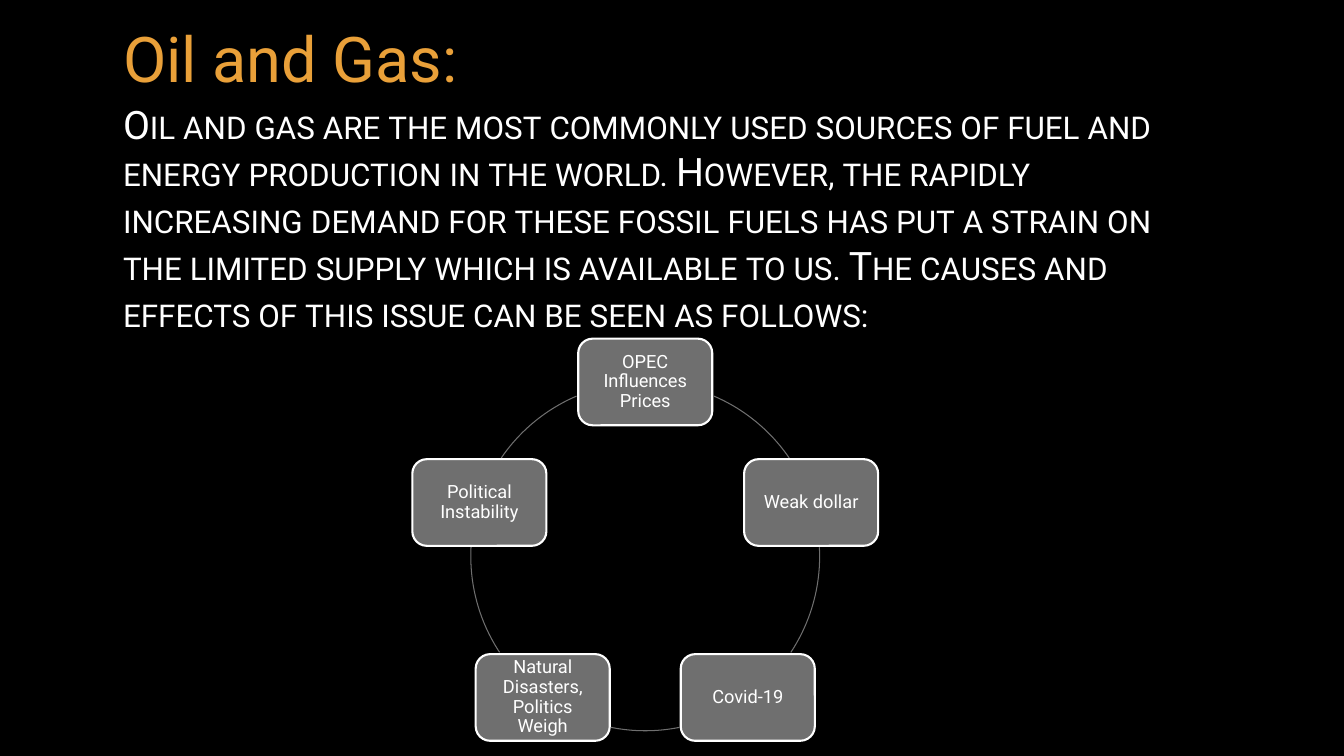
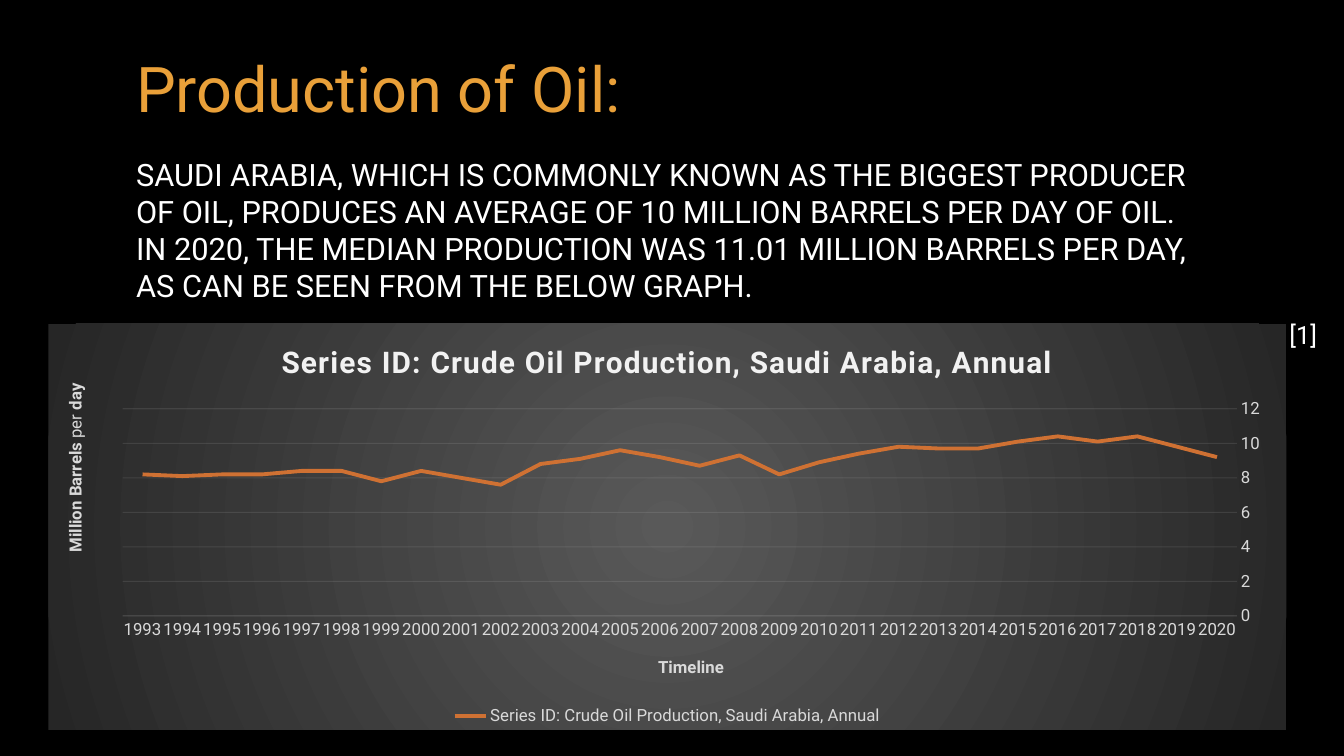
from lxml import etree
from pptx import Presentation
from pptx.chart.data import CategoryChartData
from pptx.dml.color import RGBColor
from pptx.enum.chart import XL_CHART_TYPE, XL_LEGEND_POSITION, XL_MARKER_STYLE, XL_TICK_MARK
from pptx.enum.shapes import MSO_SHAPE
from pptx.enum.text import MSO_ANCHOR, MSO_AUTO_SIZE, PP_ALIGN
from pptx.oxml import parse_xml
from pptx.oxml.ns import nsdecls, qn
from pptx.util import Pt
from math import cos, radians, sin

PX = 9144
FONT = "Roboto"
BLACK = RGBColor(0x00, 0x00, 0x00)
WHITE = RGBColor(0xFF, 0xFF, 0xFF)
AMBER = RGBColor(0xE9, 0xA0, 0x39)
GRAY = RGBColor(0x6F, 0x6F, 0x6F)
PALE = RGBColor(0xF2, 0xF2, 0xF2)
SILVER = RGBColor(0xD9, 0xD9, 0xD9)
ORANGE = RGBColor(0xCF, 0x71, 0x33)
LEFT, CENTER = PP_ALIGN.LEFT, PP_ALIGN.CENTER
MIDDLE = MSO_ANCHOR.MIDDLE
NO_AUTOFIT = MSO_AUTO_SIZE.NONE
ROUNDED, ARC = MSO_SHAPE.ROUNDED_RECTANGLE, MSO_SHAPE.ARC
LINE_CHART = XL_CHART_TYPE.LINE
LEGEND_BOTTOM = XL_LEGEND_POSITION.BOTTOM
NO_MARKER = XL_MARKER_STYLE.NONE
NO_TICK = XL_TICK_MARK.NONE

CAUSES = {
    "heading": "Oil and Gas:",
    "heading_box": (112, -47, 1083, 208),
    "body": "Oil and gas are the most commonly used sources of fuel and energy "
            "production in the world. However, the rapidly increasing demand for these "
            "fossil fuels has put a strain on the limited supply which is available to "
            "us. The causes and effects of this issue can be seen as follows:",
    "body_box": (112, 57, 1083, 318),
    "body_size": 28,
}
CYCLE = ["OPEC Influences Prices", "Weak dollar", "Covid-19",
         "Natural Disasters, Politics Weigh", "Political Instability"]
CYCLE_ARCS = [(293.2, 325.6), (357, 33.4), (78.6, 101.4), (146.6, 183), (214.4, 246.8)]
CYCLE_CENTER, CYCLE_RADIUS = (640, 552), 173
NODE_W, NODE_H = 133, 86

PRODUCTION = {
    "heading": "Production of Oil:",
    "heading_box": (125, 37, 878, 100),
    "body": "SAUDI ARABIA, WHICH IS COMMONLY KNOWN AS THE BIGGEST PRODUCER OF OIL, "
            "PRODUCES AN AVERAGE OF 10 MILLION BARRELS PER DAY OF OIL. IN 2020, THE "
            "MEDIAN PRODUCTION WAS 11.01 MILLION BARRELS PER DAY, AS CAN BE SEEN FROM "
            "THE BELOW GRAPH.",
    "body_box": (125, 124, 1083, 208),
    "body_size": 22,
}
CITATION, CITATION_BOX = "[1]", (1269, 312, 52, 40)
CHART_BOX = (48, 321, 1228, 403)
CHART_TITLE = "Series ID: Crude Oil Production, Saudi Arabia, Annual"
YEARS = [str(year) for year in range(2020, 1992, -1)]
BARRELS = [9.2, 9.8, 10.4, 10.1, 10.4, 10.1, 9.7, 9.7, 9.8, 9.4, 8.9, 8.2, 9.3, 8.7,
           9.2, 9.6, 9.1, 8.8, 7.6, 8, 8.4, 7.8, 8.4, 8.4, 8.2, 8.2, 8.1, 8.2]
TIMELINE_TITLE = [("Timeline", True)]
BARRELS_TITLE = [("Million Barrels ", True), ("per", False), (" day", True)]
PLOT_LAYOUT = {"x": 0.06, "y": 0.21, "w": 0.9, "h": 0.51}
TIMELINE_LAYOUT = {"x": 0.49, "y": 0.81}
BARRELS_LAYOUT = {"x": 0.01, "y": 0.14}


def emu(box):
    return [round(length * PX) for length in box]


def style(font, size, color, bold=None):
    font.name, font.size, font.bold = FONT, Pt(size), bold
    font.color.rgb = color


def write(shape, text, size, color, align=LEFT):
    frame = shape.text_frame
    frame.auto_size = NO_AUTOFIT
    frame.vertical_anchor = MIDDLE
    frame.word_wrap = True
    paragraph = frame.paragraphs[0]
    paragraph.text = text
    paragraph.alignment = align
    paragraph.space_before = Pt(0)
    return paragraph


def fill_placeholder(shape, box, text, size, color):
    shape.left, shape.top, shape.width, shape.height = emu(box)
    paragraph = write(shape, text, size, color)
    properties = paragraph._p.get_or_add_pPr()
    properties.set("marL", "0")
    properties.set("indent", "0")
    etree.SubElement(properties, qn("a:buNone"))
    style(paragraph.font, size, color)
    return paragraph


def add_topic(prs, topic):
    slide = prs.slides.add_slide(prs.slide_layouts[1])
    fill_placeholder(slide.shapes.title, topic["heading_box"], topic["heading"], 45, AMBER)
    body = fill_placeholder(slide.placeholders[1], topic["body_box"], topic["body"],
                            topic["body_size"], WHITE)
    return slide, body


def add_cycle(slide):
    cx, cy = CYCLE_CENTER
    diameter = 2 * CYCLE_RADIUS
    for index, (cause, ends) in enumerate(zip(CYCLE, CYCLE_ARCS)):
        angle = radians(index * 360 / len(CYCLE) - 90)
        x, y = cx + CYCLE_RADIUS * cos(angle), cy + CYCLE_RADIUS * sin(angle)
        node = slide.shapes.add_shape(
            ROUNDED, *emu((x - NODE_W / 2, y - NODE_H / 2, NODE_W, NODE_H)))
        node.shadow.inherit = False
        node.fill.solid()
        node.fill.fore_color.rgb = GRAY
        node.line.color.rgb = WHITE
        node.line.width = Pt(1.5)
        frame = node.text_frame
        frame.margin_left = frame.margin_right = 9 * PX
        frame.margin_top = frame.margin_bottom = 9 * PX
        paragraph = write(node, cause, 13, WHITE, CENTER)
        paragraph.line_spacing = 0.9
        style(paragraph.font, 13, WHITE)

        link = slide.shapes.add_shape(
            ARC, *emu((cx - CYCLE_RADIUS, cy - CYCLE_RADIUS, diameter, diameter)))
        link.shadow.inherit = False
        link.fill.background()
        link.line.color.rgb = GRAY
        link.line.width = Pt(0.75)
        for end, degrees in enumerate(ends):
            link.adjustments[end] = degrees * 0.6


def manual_layout(values, inner=False):
    target = '<c:layoutTarget val="inner"/>' if inner else ""
    modes = "".join(f'<c:{key}Mode val="edge"/>' for key in "xy")
    sizes = "".join(f'<c:{key} val="{value}"/>' for key, value in values.items())
    return parse_xml(f'<c:layout {nsdecls("c")}><c:manualLayout>{target}{modes}{sizes}'
                     '</c:manualLayout></c:layout>')


def title_axis(axis, parts, layout):
    title = axis.axis_title
    paragraph = title.text_frame.paragraphs[0]
    for text, bold in parts:
        run = paragraph.add_run()
        run.text = text
        style(run.font, 12, SILVER, bold)
    for old in title._element.findall(qn("c:layout")):
        title._element.remove(old)
    title._element.find(qn("c:tx")).addnext(manual_layout(layout))


def add_production_chart(slide):
    data = CategoryChartData()
    data.categories = YEARS
    data.add_series(CHART_TITLE, BARRELS)
    chart = slide.shapes.add_chart(LINE_CHART, *emu(CHART_BOX), data).chart
    style(chart.font, 10, WHITE)

    chart.has_title = True
    heading = chart.chart_title.text_frame.paragraphs[0]
    run = heading.add_run()
    run.text = CHART_TITLE
    style(run.font, 21.3, PALE, True)
    run.font._element.set("spc", "100")

    chart.has_legend = True
    chart.legend.position = LEGEND_BOTTOM
    chart.legend.include_in_layout = False
    style(chart.legend.font, 12, SILVER)

    years, barrels = chart.category_axis, chart.value_axis
    for axis in (years, barrels):
        axis.major_tick_mark = axis.minor_tick_mark = NO_TICK
        style(axis.tick_labels.font, 12, SILVER)
    years.reverse_order = True
    years._element.find(qn("c:txPr")).find(qn("a:bodyPr")).set("rot", "-60000000")
    barrels.minimum_scale, barrels.maximum_scale, barrels.major_unit = 0, 12, 2
    barrels.format.line.fill.background()
    for line in (years.format.line, barrels.major_gridlines.format.line):
        line.color.rgb = PALE
        line.width = Pt(0.75)
    title_axis(years, TIMELINE_TITLE, TIMELINE_LAYOUT)
    title_axis(barrels, BARRELS_TITLE, BARRELS_LAYOUT)

    plot = chart.plots[0]
    plot.vary_by_categories = False
    series = plot.series[0]
    series.smooth = False
    series.marker.style = NO_MARKER
    series.format.line.color.rgb = ORANGE
    series.format.line.width = Pt(2.75)

    space = chart._chartSpace
    for color in space.xpath(f'.//a:ln//a:srgbClr[@val="{PALE}"]'):
        etree.SubElement(color, qn("a:alpha")).set("val", "10000")
    area = space.find(qn("c:chart")).find(qn("c:plotArea"))
    for old in area.findall(qn("c:layout")):
        area.remove(old)
    area.insert(0, manual_layout(PLOT_LAYOUT, inner=True))
    space.find(qn("c:chart")).addnext(parse_xml(
        f'<c:spPr {nsdecls("c", "a")}><a:gradFill><a:gsLst>'
        '<a:gs pos="0"><a:srgbClr val="595959"/></a:gs>'
        '<a:gs pos="100000"><a:srgbClr val="262626"/></a:gs></a:gsLst>'
        '<a:path path="circle"><a:fillToRect l="50000" t="50000" r="50000" b="50000"/>'
        '</a:path></a:gradFill><a:ln><a:noFill/></a:ln></c:spPr>'))


def add_citation(slide):
    frame = slide.shapes.add_textbox(*emu(CITATION_BOX)).text_frame
    frame.word_wrap = False
    frame.text = CITATION
    style(frame.paragraphs[0].font, 18, WHITE)


def main():
    prs = Presentation()
    prs.slide_width, prs.slide_height = emu((1333, 750))
    background = prs.slide_master.background.fill
    background.solid()
    background.fore_color.rgb = BLACK

    causes, summary = add_topic(prs, CAUSES)
    summary.font._element.set("cap", "small")
    add_cycle(causes)

    production, _ = add_topic(prs, PRODUCTION)
    add_production_chart(production)
    add_citation(production)
    prs.save("out.pptx")


if __name__ == "__main__":
    main()
